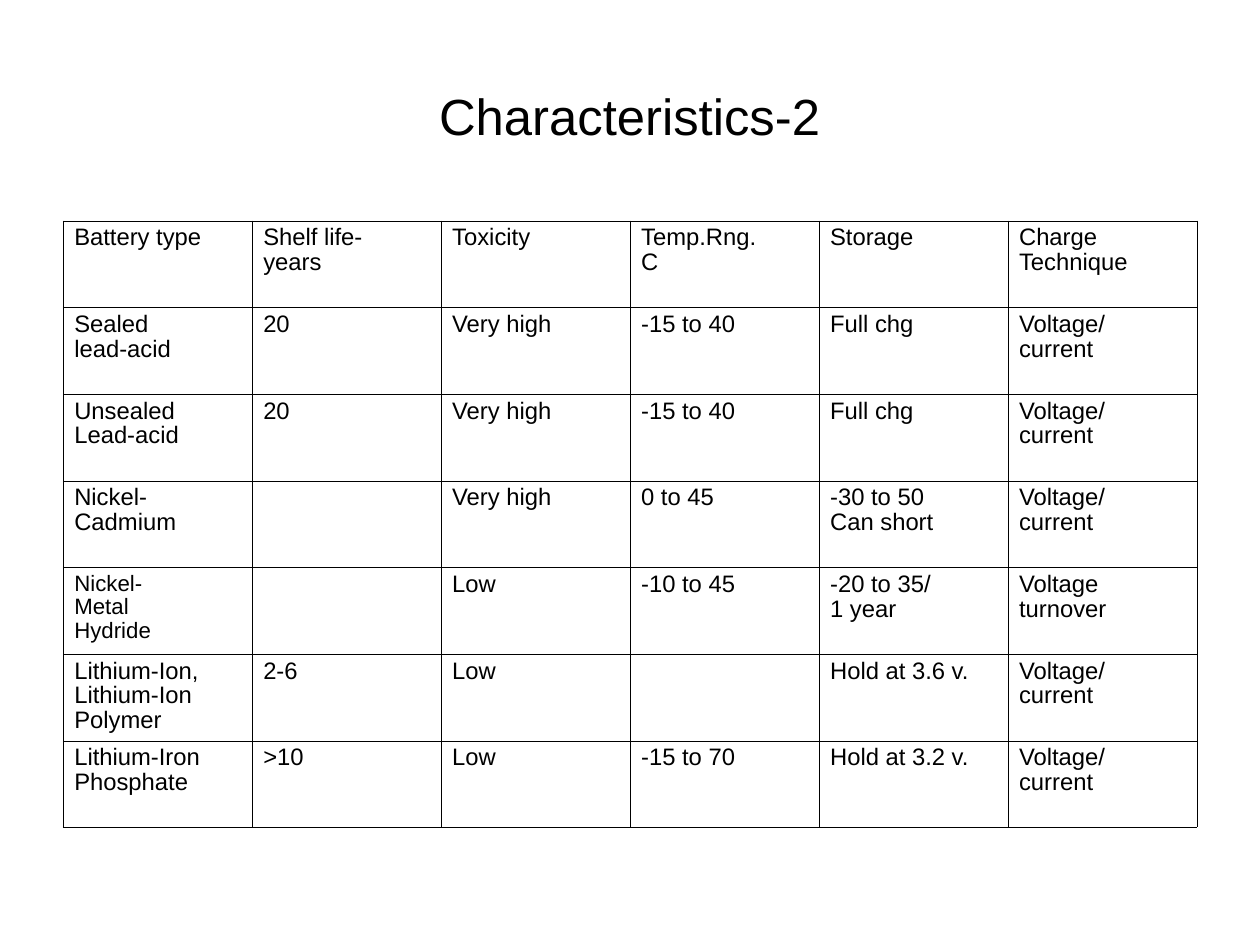
from pptx import Presentation
from pptx.dml.color import RGBColor
from pptx.enum.text import MSO_ANCHOR, MSO_AUTO_SIZE, PP_ALIGN
from pptx.oxml import parse_xml
from pptx.oxml.ns import nsdecls
from pptx.util import Inches, Pt

CENTER, LEFT = PP_ALIGN.CENTER, PP_ALIGN.LEFT
MIDDLE, TOP = MSO_ANCHOR.MIDDLE, MSO_ANCHOR.TOP
NO_AUTOFIT = MSO_AUTO_SIZE.NONE

TITLE = "Characteristics-2"
ROWS = [
    ("Battery type", "Shelf life-\nyears", "Toxicity", "Temp.Rng.\nC", "Storage", "Charge\nTechnique"),
    ("Sealed\nlead-acid", "20", "Very high", "-15 to 40", "Full chg", "Voltage/\ncurrent"),
    ("Unsealed\nLead-acid", "20", "Very high", "-15 to 40", "Full chg", "Voltage/\ncurrent"),
    ("Nickel-\nCadmium", "", "Very high", "0 to 45", "-30 to 50\nCan short", "Voltage/\ncurrent"),
    ("Nickel-\nMetal\nHydride", "", "Low", "-10 to 45", "-20 to 35/\n1 year", "Voltage\nturnover"),
    ("Lithium-Ion,\nLithium-Ion\nPolymer", "2-6", "Low", "", "Hold at 3.6 v.", "Voltage/\ncurrent"),
    ("Lithium-Iron\nPhosphate", ">10", "Low", "-15 to 70", "Hold at 3.2 v.", "Voltage/\ncurrent"),
]
SMALL_CELL = "Nickel-\nMetal\nHydride"
BLACK = "000000"
BORDER_WIDTH = Pt(0.06)
CM_PER_INCH = 2.54
SLIDE_WIDTH, SLIDE_HEIGHT = Inches(28 / CM_PER_INCH), Inches(21 / CM_PER_INCH)
LEFT_EDGE, CONTENT_WIDTH = Inches(0.55), Inches(9.92)
TABLE_TOP, TABLE_HEIGHT = Inches(1.93), Inches(5.31)


def rgb(value):
    return RGBColor.from_string(value)


def set_text(tf, text, size=15, color=BLACK, font="Arial", align=LEFT):
    tf.text = text
    for p in tf.paragraphs:
        p.alignment = align
        p.line_spacing = 0.93
        p.space_before = Pt(0)
        p.font.size = Pt(size)
        for r in p.runs:
            r.font.size = Pt(size)
            r.font.name = font
            r.font.color.rgb = rgb(color)


def set_borders(cell, color=BLACK):
    tcPr = cell._tc.get_or_add_tcPr()
    for side in ("lnL", "lnR", "lnT", "lnB"):
        tcPr.append(parse_xml(
            f'<a:{side} {nsdecls("a")} w="{BORDER_WIDTH}"><a:solidFill>'
            f'<a:srgbClr val="{color}"/></a:solidFill></a:{side}>'))


def add_title(s):
    title = s.shapes.title
    title.left, title.top = LEFT_EDGE, Inches(0.33)
    title.width, title.height = CONTENT_WIDTH, Inches(1.38)
    tf = title.text_frame
    tf.auto_size = NO_AUTOFIT
    tf.word_wrap = True
    tf.vertical_anchor = MIDDLE
    tf.margin_left = tf.margin_right = tf.margin_bottom = 0
    tf.margin_top = Inches(0.03)
    set_text(tf, TITLE, size=32, align=CENTER)


def add_battery_table(s):
    table = s.shapes.add_table(len(ROWS), len(ROWS[0]), LEFT_EDGE, TABLE_TOP,
                               CONTENT_WIDTH, TABLE_HEIGHT).table
    table.first_row = table.horz_banding = False
    for row, texts in enumerate(ROWS):
        for col, text in enumerate(texts):
            cell = table.cell(row, col)
            set_borders(cell)
            cell.fill.background()
            cell.vertical_anchor = TOP
            cell.margin_left = cell.margin_right = Inches(0.1)
            cell.margin_top = cell.margin_bottom = Inches(0.05)
            set_text(cell.text_frame, text, size=14 if text == SMALL_CELL else 15)


def main():
    prs = Presentation()
    prs.slide_width, prs.slide_height = SLIDE_WIDTH, SLIDE_HEIGHT
    s = prs.slides.add_slide(prs.slide_layouts[5])
    add_title(s)
    add_battery_table(s)
    prs.save("out.pptx")


if __name__ == "__main__":
    main()
